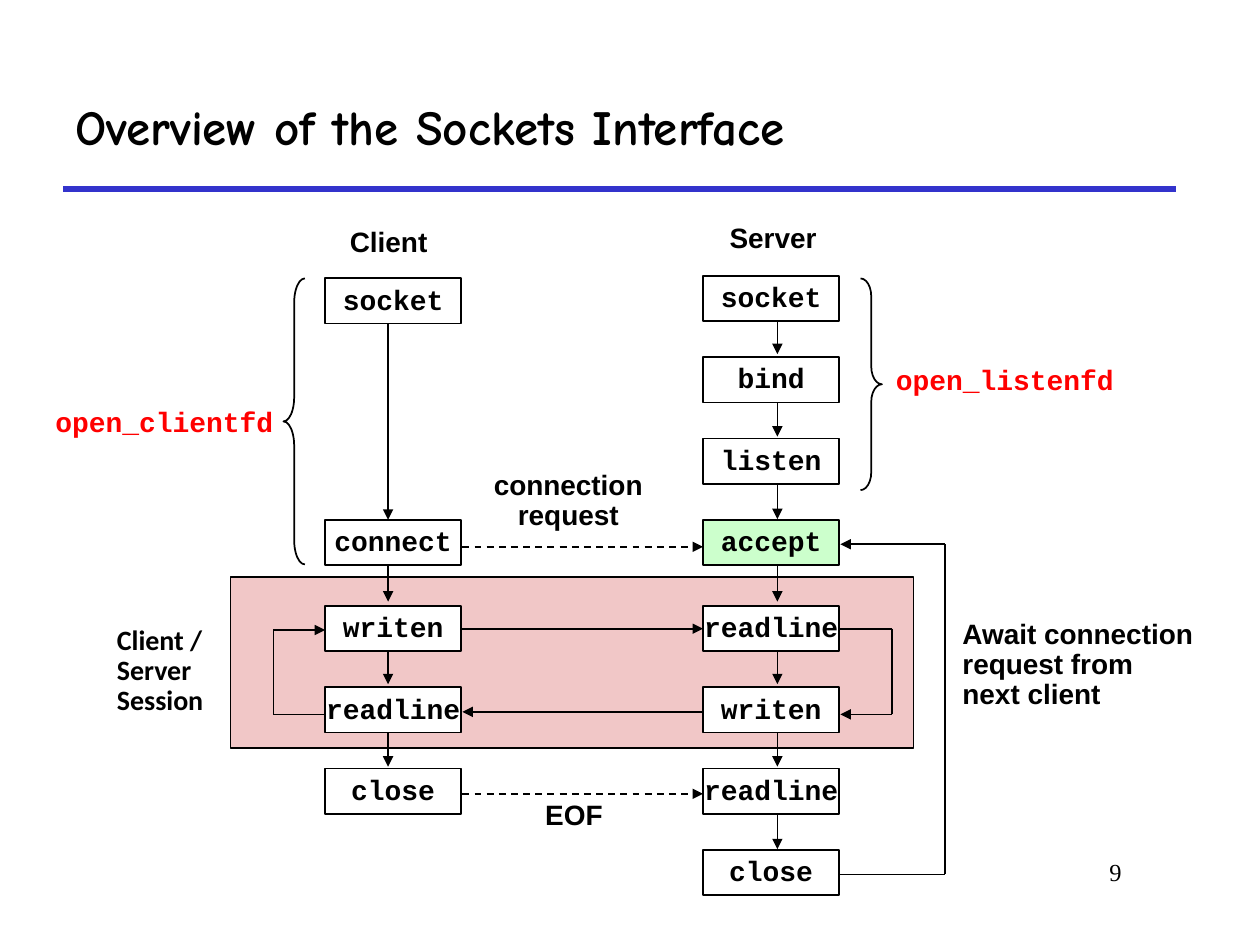
from lxml.etree import SubElement
from pptx import Presentation
from pptx.dml.color import RGBColor
from pptx.enum.dml import MSO_LINE_DASH_STYLE as Dash
from pptx.enum.shapes import MSO_CONNECTOR as Connector, MSO_SHAPE as Shape
from pptx.enum.text import MSO_ANCHOR as Anchor, MSO_AUTO_SIZE as AutoSize, PP_ALIGN as Align
from pptx.oxml.ns import qn
from pptx.util import Inches, Pt

BLACK = RGBColor(0x00, 0x00, 0x00)
WHITE = RGBColor(0xFF, 0xFF, 0xFF)
RED = RGBColor(0xFF, 0x00, 0x00)
RULE_BLUE = RGBColor(0x33, 0x33, 0xCC)
SESSION_PINK = RGBColor(0xF1, 0xC7, 0xC7)
ACCEPT_GREEN = RGBColor(0xCC, 0xFF, 0xCC)

CALL_W, CALL_H = 1.08, 0.36
CLIENT_X, SERVER_X = 2.58, 5.58
CLIENT_FLOW, SERVER_FLOW = 3.08, 6.17
CLIENT_RIGHT, SERVER_RIGHT = 3.67, 6.67
CLIENT_CALLS = {0.03: "socket", 3: "connect", 4: "writen", 5: "readline", 6: "close"}
SERVER_CALLS = ["socket", "bind", "listen", "accept", "readline", "writen", "readline", "close"]


def row_top(row):
    """Return the top of a call box in a row, with a small gap before the session."""
    return 2.19 + 0.645 * row + (0.04 if row > 3 else 0)


def write(frame, lines, font, size, color=BLACK, align=Align.CENTER, bold=True, spacing=0.9):
    """Fill a text frame with one paragraph per line."""
    for index, line in enumerate(lines):
        paragraph = frame.paragraphs[0] if index == 0 else frame.add_paragraph()
        paragraph.alignment = align
        paragraph.line_spacing = spacing
        run = paragraph.add_run()
        run.text = line
        run.font.name, run.font.size, run.font.bold = font, Pt(size), bold
        run.font.color.rgb = color


def add_label(slide, box, lines, font="Arial", size=16, wrap=False, anchor=Anchor.MIDDLE, **style):
    """Add a text box."""
    frame = slide.shapes.add_textbox(*map(Inches, box)).text_frame
    frame.word_wrap = wrap
    frame.auto_size = AutoSize.NONE
    frame.vertical_anchor = anchor
    write(frame, lines, font, size, **style)


def add_outline(slide, kind, box, fill=None):
    """Add a black-lined shape, filled only if a colour is given."""
    shape = slide.shapes.add_shape(kind, *map(Inches, box))
    shape.shadow.inherit = False
    shape.line.color.rgb, shape.line.width = BLACK, Pt(1)
    if fill is None:
        shape.fill.background()
    else:
        shape.fill.solid()
        shape.fill.fore_color.rgb = fill
    return shape


def add_call(slide, left, row, name):
    """Add the box of one socket call."""
    fill = ACCEPT_GREEN if name == "accept" else WHITE
    box = (left, row_top(row), CALL_W, CALL_H)
    frame = add_outline(slide, Shape.RECTANGLE, box, fill).text_frame
    frame.word_wrap = False
    frame.vertical_anchor = Anchor.MIDDLE
    write(frame, [name], "Courier New", 16)


def add_line(slide, start, end, arrow=True, dashed=False, color=BLACK, width=1):
    """Add a straight line, with an arrowhead at its end if wanted."""
    connector = slide.shapes.add_connector(Connector.STRAIGHT, *map(Inches, (*start, *end)))
    connector.line.color.rgb, connector.line.width = color, Pt(width)
    if dashed:
        connector.line.dash_style = Dash.DASH
    if arrow:
        SubElement(connector.line._get_or_add_ln(), qn("a:tailEnd"), type="triangle")
    SubElement(connector._element.spPr, qn("a:effectLst"))


def add_loop(slide, side, outer, start, end):
    """Add a three-part path that leaves a column and comes back to it."""
    points = [(side, start), (outer, start), (outer, end), (side, end)]
    for index, (here, there) in enumerate(zip(points, points[1:])):
        add_line(slide, here, there, arrow=index == 2)


def add_flow(slide, x, rows):
    """Add the downward arrows that leave the given rows."""
    for row in rows:
        top = 2.52 + 0.655 * row
        add_line(slide, (x, top), (x, top + 0.29))


def add_brace(slide, kind, box, curve):
    """Add a curly brace with the given curvature."""
    add_outline(slide, kind, box).adjustments[0] = curve


def add_arrows(slide):
    """Add all arrows within and between the two columns."""
    add_loop(slide, SERVER_RIGHT, 7.08, 4.99, 5.67)
    add_loop(slide, CLIENT_X, 2.17, 5.67, 5)
    add_loop(slide, SERVER_RIGHT, 7.5, 6.94, 4.32)
    add_line(slide, (CLIENT_FLOW, 2.52), (CLIENT_FLOW, row_top(3)))
    add_flow(slide, CLIENT_FLOW, range(3, 6))
    add_flow(slide, SERVER_FLOW, range(7))
    for y, dashed in ((4.34, True), (4.99, False), (6.3, True)):
        add_line(slide, (CLIENT_RIGHT, y), (SERVER_X, y), dashed=dashed)
    add_line(slide, (SERVER_X, 5.65), (CLIENT_RIGHT, 5.65))


def add_labels(slide):
    """Add the headings, notes and wrapper names around the diagram."""
    add_label(slide, (2.68, 1.76, 0.81, 0.34), ["Client"])
    add_label(slide, (5.69, 1.73, 0.89, 0.34), ["Server"])
    add_label(slide, (0.83, 4.92, 0.92, 0.82), ["Client / Server", "Session"],
              font="Calibri", wrap=True, align=Align.LEFT)
    add_label(slide, (3.82, 3.69, 1.38, 0.58), ["connection", "request"])
    add_label(slide, (4.23, 6.31, 0.65, 0.34), ["EOF"])
    add_label(slide, (7.54, 4.87, 2.03, 0.82),
              ["Await connection", "request from", "next client"], align=Align.LEFT)
    for left, top, name in ((7.01, 2.86, "open_listenfd"), (0.34, 3.19, "open_clientfd")):
        add_label(slide, (left, top, 1.93, 0.34), [name], font="Courier New", color=RED)


def main():
    """Build the slide and save it."""
    deck = Presentation()
    deck.slide_width, deck.slide_height = Inches(10), Inches(7.5)
    slide = deck.slides.add_slide(deck.slide_layouts[6])
    add_line(slide, (0.5, 1.5), (9.33, 1.5), arrow=False, color=RULE_BLUE, width=3)
    add_label(slide, (0.5, 0.5, 8.83, 1), ["Overview of the Sockets Interface"],
              font="Comic Neue", size=28, wrap=True, align=Align.LEFT, spacing=1.0)
    add_label(slide, (7.58, 6.75, 1.42, 0.5), ["9"], font="Times New Roman", size=14, wrap=True,
              anchor=Anchor.TOP, align=Align.RIGHT, bold=False, spacing=1.0)
    add_outline(slide, Shape.RECTANGLE, (1.83, 4.58, 5.42, 1.36), SESSION_PINK)
    add_arrows(slide)
    for row, name in CLIENT_CALLS.items():
        add_call(slide, CLIENT_X, row, name)
    for row, name in enumerate(SERVER_CALLS):
        add_call(slide, SERVER_X, row, name)
    add_brace(slide, Shape.RIGHT_BRACE, (6.83, 2.21, 0.17, 1.68), 0.83)
    add_brace(slide, Shape.LEFT_BRACE, (2.25, 2.21, 0.17, 2.27), 1.13)
    add_labels(slide)
    deck.save("out.pptx")


if __name__ == "__main__":
    main()
